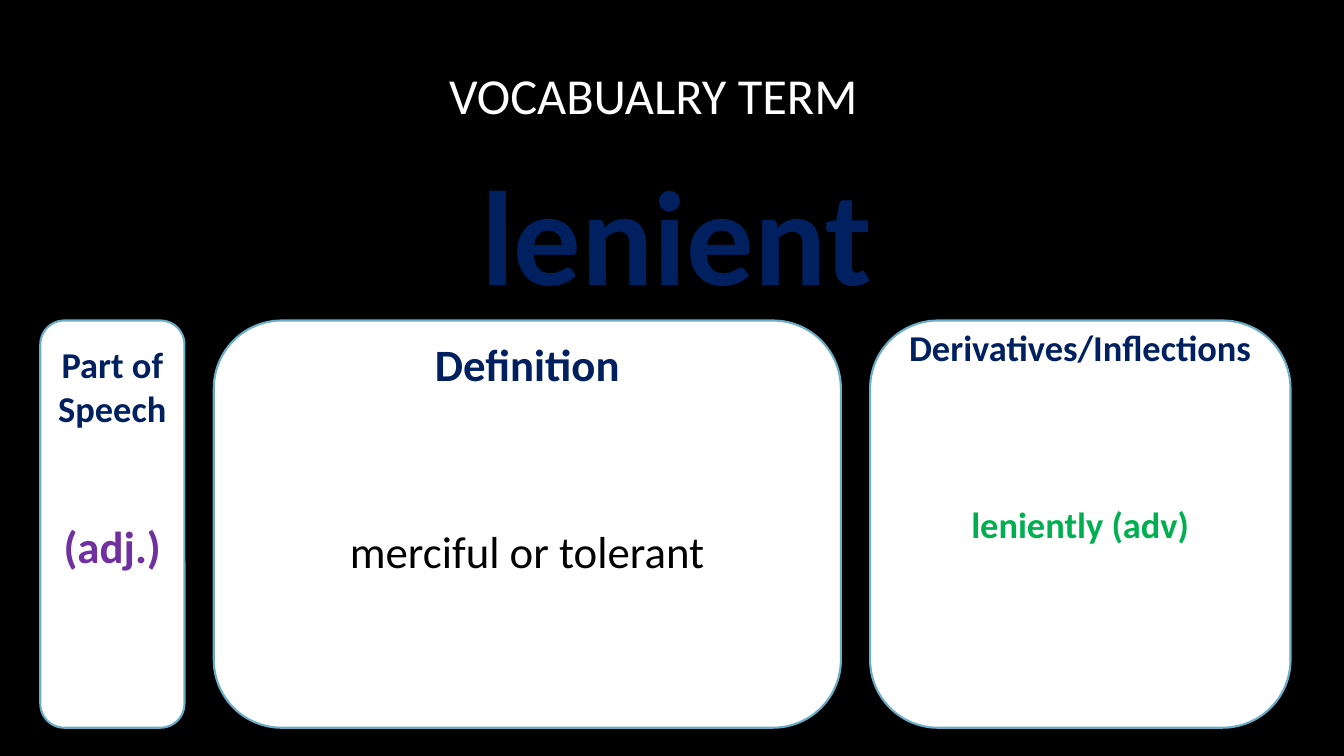
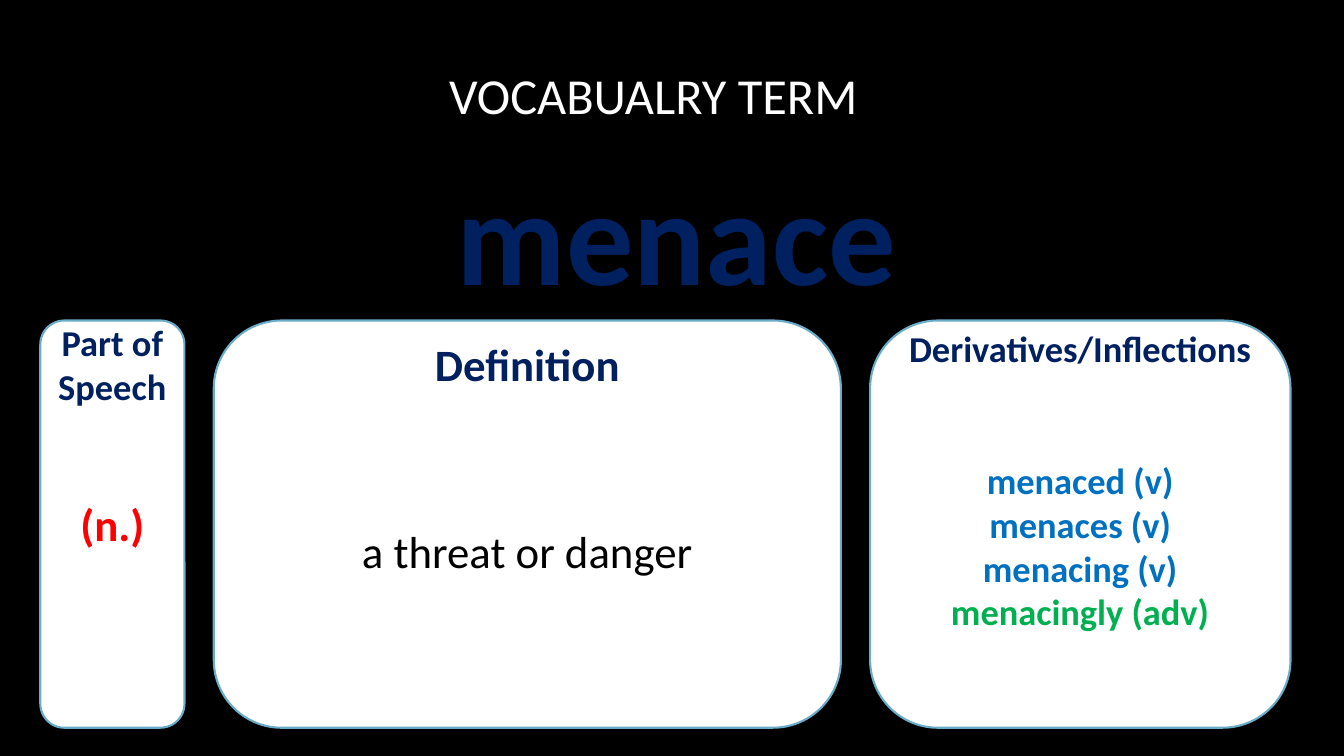
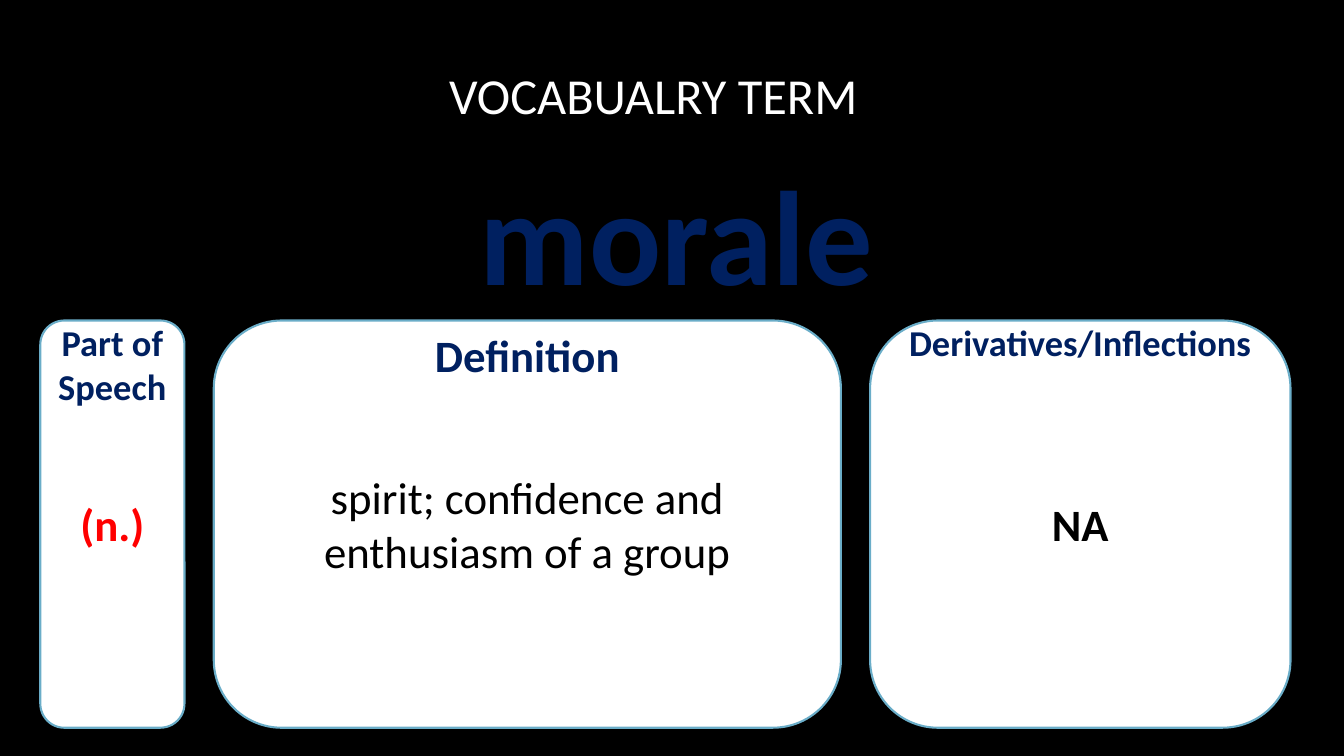
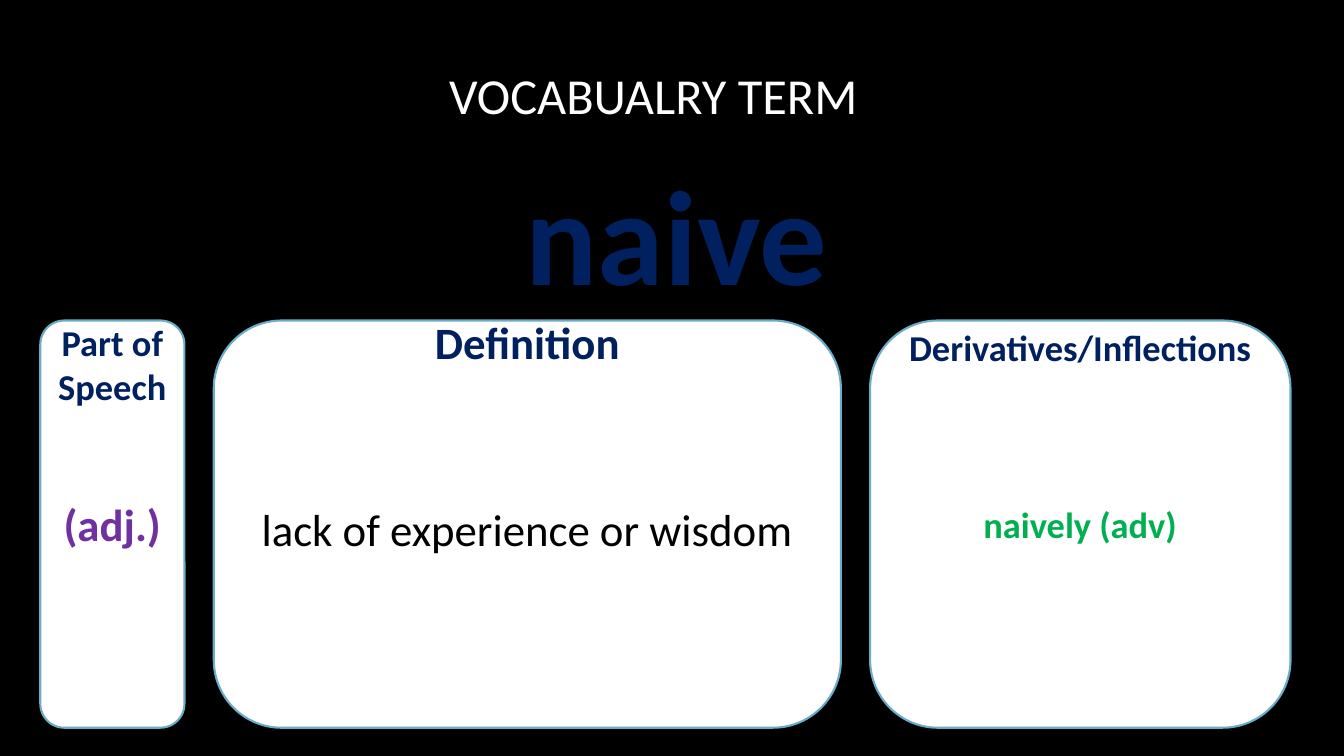
"""Build four vocabulary slides, each with a term and three cards."""
from dataclasses import dataclass

from pptx import Presentation
from pptx.dml.color import RGBColor
from pptx.enum.shapes import MSO_SHAPE
from pptx.enum.text import MSO_ANCHOR, PP_ALIGN
from pptx.util import Inches, Pt


@dataclass(frozen=True)
class Theme:
    font: str = "Calibri"
    black: str = "000000"
    white: str = "FFFFFF"
    navy: str = "002060"
    border: str = "6AADC8"
    noun: str = "FF0000"
    verb: str = "0070C0"
    adjective: str = "7030A0"
    adverb: str = "00B050"
    title: int = 36
    term: int = 96
    large: int = 32
    small: int = 26
    line: float = 31.7


T = Theme()
TITLE = "VOCABUALRY TERM"
ADJ = ("(adj.)", T.adjective)
NOUN = ("(n.)", T.noun)

# Each card: values, lines of space above them, lines of space below them.
WORDS = [
    {"term": "lenient",
     "speech": ([ADJ], 2, 3),
     "derivatives": ([("leniently (adv)", T.adverb)], 3, 4),
     "definition": ([("merciful or tolerant", T.black)], 3, 3)},
    {"term": "menace",
     "speech": ([NOUN], 2, 4),
     "derivatives": ([("menaced (v)", T.verb), ("menaces (v)", T.verb),
                      ("menacing (v)", T.verb), ("menacingly (adv)", T.adverb)], 2, 2),
     "definition": ([("a threat or danger", T.black)], 3, 3)},
    {"term": "morale",
     "speech": ([NOUN], 2, 4),
     "derivatives": ([("NA", T.black)], 3, 4),
     "definition": ([("spirit; confidence and enthusiasm of a group", T.black)], 2, 3.23)},
    {"term": "naive",
     "speech": ([ADJ], 2, 4),
     "derivatives": ([("naively (adv)", T.adverb)], 3, 4),
     "definition": ([("lack of experience or wisdom", T.black)], 3, 4)},
]

CARDS = {
    "speech": ("Part of Speech", T.small, 0.4, 1.43),
    "derivatives": ("Derivatives/Inflections", T.small, 8.63, 4.17),
    "definition": ("Definition", T.large, 2.12, 6.22),
}
CARD_TOP, CARD_HEIGHT = 3.18, 4.04


def style(p, size, color, bold=False):
    p.alignment = PP_ALIGN.CENTER
    p.font.name = T.font
    p.font.size = Pt(size)
    p.font.bold = bold
    p.font.color.rgb = RGBColor.from_string(color)


def add_label(s, text, box, size, color, bold=False):
    tf = s.shapes.add_textbox(*map(Inches, box)).text_frame
    tf.word_wrap = True
    tf.vertical_anchor = MSO_ANCHOR.MIDDLE
    tf.text = text
    style(tf.paragraphs[0], size, color, bold)


def add_card(s, kind, values, above, below):
    heading, size, left, width = CARDS[kind]
    sp = s.shapes.add_shape(MSO_SHAPE.ROUNDED_RECTANGLE, Inches(left), Inches(CARD_TOP),
                            Inches(width), Inches(CARD_HEIGHT))
    sp.shadow.inherit = False
    sp.fill.solid()
    sp.fill.fore_color.rgb = RGBColor.from_string(T.white)
    sp.line.color.rgb = RGBColor.from_string(T.border)
    sp.line.width = Pt(1.5)
    tf = sp.text_frame
    tf.word_wrap = True
    tf.vertical_anchor = MSO_ANCHOR.MIDDLE
    tf.margin_bottom = Inches(0.05) + Pt(below * T.line)
    tf.text = heading
    style(tf.paragraphs[0], size, T.navy, True)
    for i, (text, color) in enumerate(values):
        p = tf.add_paragraph()
        p.text = text
        is_large = kind != "derivatives" or color == T.black
        style(p, T.large if is_large else T.small, color, kind != "definition")
        if i == 0:
            p.space_before = Pt(above * T.line)


def main():
    prs = Presentation()
    prs.slide_width, prs.slide_height = Inches(13.33), Inches(7.5)
    background = prs.slide_master.background.fill
    background.solid()
    background.fore_color.rgb = RGBColor.from_string(T.black)
    for word in WORDS:
        s = prs.slides.add_slide(prs.slide_layouts[6])
        add_label(s, TITLE, (1.17, 0.46, 10.62, 0.96), T.title, T.white)
        add_label(s, word["term"], (1.17, 1.42, 11.08, 1.76), T.term, T.navy, True)
        for kind in CARDS:
            add_card(s, kind, *word[kind])
    prs.save("out.pptx")


if __name__ == "__main__":
    main()
